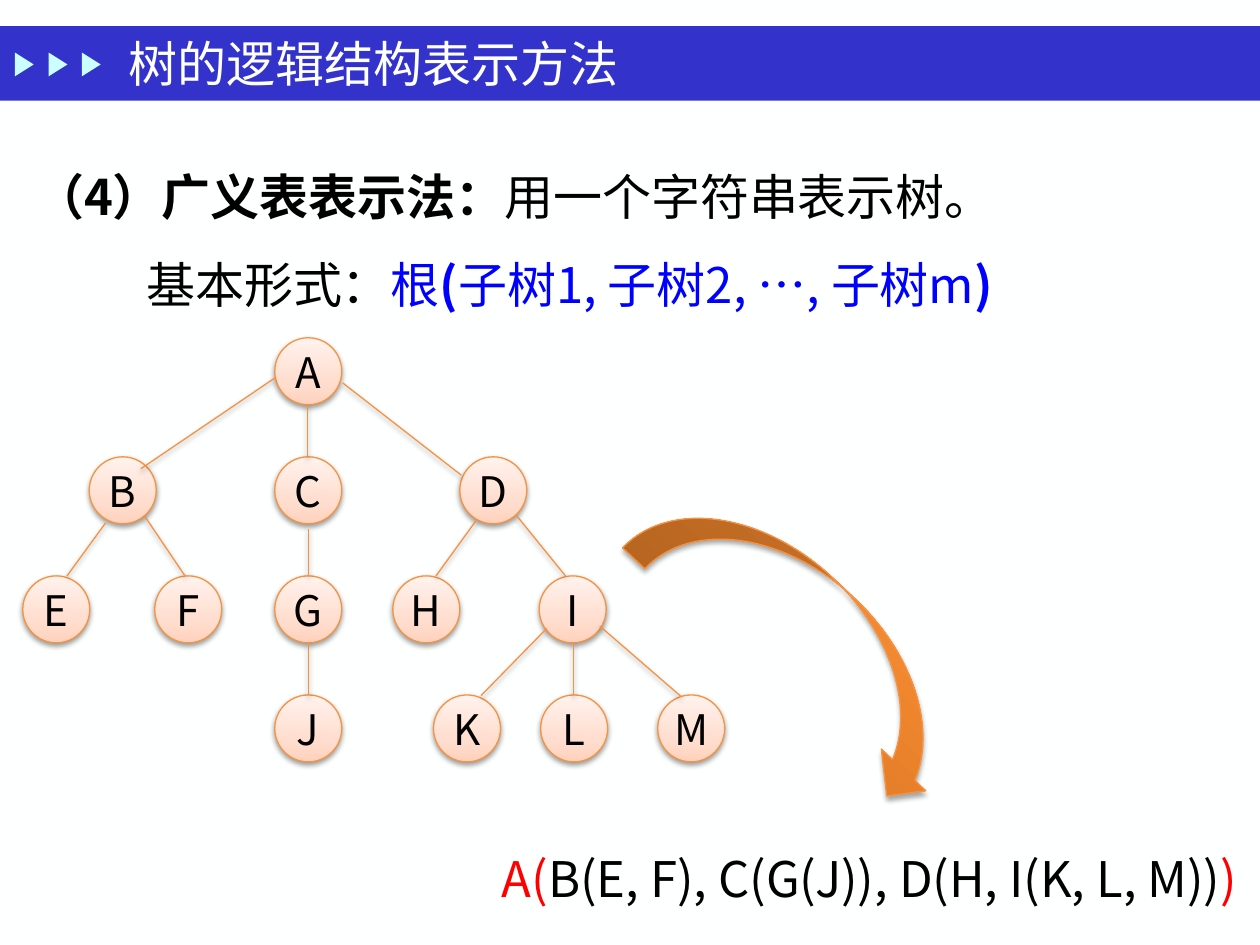
import copy

import pptx
import pptx.dml.color
import pptx.enum.shapes
import pptx.enum.text
import pptx.oxml
import pptx.oxml.ns
import pptx.util
from pptx.util import Cm

SHAPE = pptx.enum.shapes.MSO_SHAPE
ALIGN = pptx.enum.text.PP_ALIGN
MIDDLE = pptx.enum.text.MSO_ANCHOR.MIDDLE
BODY_FONT = "Noto Sans CJK SC"
NODE_SIZE = 1.35
ROW_TOP = 6.81
ROW_PITCH = 2.4
NODE_STOPS = [(0, "FFD2BD"), (0.35, "FFDED0"), (1, "FFF2ED")]
ARROW_STOPS = [(0, "CC6E20"), (0.8, "FF9034"), (1, "FF9136")]


def color(value):
    return pptx.dml.color.RGBColor.from_string(value)


def add_outline_and_shadow(shape, opacity=38, distance=1.6):
    shape.line.color.rgb = color("F69240")
    shape.line.width = pptx.util.Pt(0.75)
    shape._element.spPr.append(pptx.oxml.parse_xml(
        f'<a:effectLst {pptx.oxml.ns.nsdecls("a")}>'
        f'<a:outerShdw blurRad="{pptx.util.Pt(3.1)}" dist="{pptx.util.Pt(distance)}" '
        f'dir="5400000" rotWithShape="0"><a:srgbClr val="000000">'
        f'<a:alpha val="{opacity * 1000}"/></a:srgbClr></a:outerShdw></a:effectLst>'))


presentation = pptx.Presentation()
presentation.slide_width = Cm(25.4)
presentation.slide_height = Cm(19.05)
slide = presentation.slides.add_slide(presentation.slide_layouts[5])
slide.background.fill.solid()
slide.background.fill.fore_color.rgb = color("FEFFFF")
shapes = slide.shapes

header_parts = [(SHAPE.RECTANGLE, 0, 0.53, 25.4, 1.5, 0, "3333CC")]
for left in (0.25, 0.93, 1.6):
    header_parts.append((SHAPE.ISOSCELES_TRIANGLE, left, 1.11, 0.48, 0.38, 90, "CBFFFF"))
for kind, left, top, width, height, rotation, fill in header_parts:
    shape = shapes.add_shape(kind, Cm(left), Cm(top), Cm(width), Cm(height))
    shape.rotation = rotation
    shape.shadow.inherit = False
    shape.fill.solid()
    shape.fill.fore_color.rgb = color(fill)
    shape.line.fill.background()

title = shapes.title
shapes._spTree.append(title._element)
title.left, title.top, title.width, title.height = Cm(2.34), Cm(0.53), Cm(17.78), Cm(1.47)
title.text_frame.text = "树的逻辑结构表示方法"
title.text_frame.vertical_anchor = MIDDLE
title.text_frame.auto_size = pptx.enum.text.MSO_AUTO_SIZE.NONE
paragraph = title.text_frame.paragraphs[0]
paragraph.alignment = ALIGN.LEFT
paragraph.font.name = "Times New Roman"
paragraph.font.size = pptx.util.Pt(28)
paragraph.font.color.rgb = color("FEFFFF")

text_boxes = [
    (0.46, 2.64, 24.46, 3.68, ALIGN.LEFT, 1.5, [
        (0, [("（4）广义表表示法：", "000000", True),
             ("用一个字符串表示树。", "000000", False)]),
        (2.24, [("基本形式：", "000000", False), ("根", "0000FF", False),
                ("(", "0000FF", True),
                ("子树1, 子树2, …, 子树m", "0000FF", False),
                (")", "0000FF", True)]),
    ]),
    (9.65, 16.99, 15.75, 1.45, ALIGN.CENTER, 1, [
        (0, [("A(", "FF0000", False),
             ("B(E, F), C(G(J)), D(H, I(K, L, M))", "000000", False),
             (")", "FF0000", False)]),
    ]),
]
for left, top, width, height, alignment, spacing, lines in text_boxes:
    frame = shapes.add_textbox(Cm(left), Cm(top), Cm(width), Cm(height)).text_frame
    frame.word_wrap = True
    for index, (indent, runs) in enumerate(lines):
        paragraph = frame.add_paragraph() if index else frame.paragraphs[0]
        paragraph.alignment = alignment
        paragraph.line_spacing = spacing
        paragraph._p.get_or_add_pPr().set("marL", str(int(Cm(indent))))
        paragraph.font.name = BODY_FONT
        paragraph.font.size = pptx.util.Pt(28)
        for text, text_color, bold in runs:
            run = paragraph.add_run()
            run.text = text
            run.font.bold = bold
            run.font.color.rgb = color(text_color)

tree_rows = [
    [("A", 5.54)],
    [("B", 1.8), ("C", 5.54), ("D", 9.27)],
    [("E", 0.46), ("F", 3.12), ("G", 5.54), ("H", 7.92), ("I", 10.87)],
    [("J", 5.54), ("K", 8.74), ("L", 10.9), ("M", 13.26)],
]
gradient_shapes = []
for row, nodes in enumerate(tree_rows):
    for label, left in nodes:
        node = shapes.add_shape(SHAPE.OVAL, Cm(left), Cm(ROW_TOP + row * ROW_PITCH),
                                Cm(NODE_SIZE), Cm(NODE_SIZE))
        node.text_frame.text = label
        node.text_frame.word_wrap = False
        node.text_frame.vertical_anchor = MIDDLE
        paragraph = node.text_frame.paragraphs[0]
        paragraph.alignment = ALIGN.CENTER
        paragraph.font.name = BODY_FONT
        paragraph.font.size = pptx.util.Pt(24)
        paragraph.font.color.rgb = color("000000")
        gradient_shapes.append((node, NODE_STOPS, 38, 1.6))

branches = [
    (5.54, 7.62, 2.84, 9.45), (6.2, 8.15, 6.2, 9.22), (6.91, 7.72, 9.3, 9.58),
    (2.13, 10.54, 1.35, 11.61), (2.92, 10.41, 3.73, 11.61), (6.22, 10.67, 6.22, 11.61),
    (9.6, 10.49, 8.79, 11.61), (10.41, 10.39, 11.4, 11.61),
    (6.22, 12.95, 6.22, 14.02), (11.02, 12.67, 9.7, 14.02),
    (11.56, 12.95, 11.56, 14.02), (12.09, 12.62, 13.74, 14.05),
]
for branch in branches:
    connector = shapes.add_connector(pptx.enum.shapes.MSO_CONNECTOR.STRAIGHT,
                                     *[Cm(value) for value in branch])
    add_outline_and_shadow(connector)

arrow = shapes.add_shape(SHAPE.CURVED_DOWN_ARROW, Cm(12.32), Cm(11.63), Cm(7.92), Cm(2.46))
arrow.rotation = 43.2
gradient_shapes.append((arrow, ARROW_STOPS, 35, 1.8))

for shape, stops, opacity, distance in gradient_shapes:
    shape.fill.gradient()
    shape.fill.gradient_angle = 90
    stop_list = shape._element.spPr.find(".//" + pptx.oxml.ns.qn("a:gsLst"))
    stop_list.append(copy.deepcopy(stop_list[-1]))
    for stop, (position, stop_color) in zip(shape.fill.gradient_stops, stops):
        stop.position = position
        stop.color.rgb = color(stop_color)
    add_outline_and_shadow(shape, opacity, distance)

presentation.save("out.pptx")
